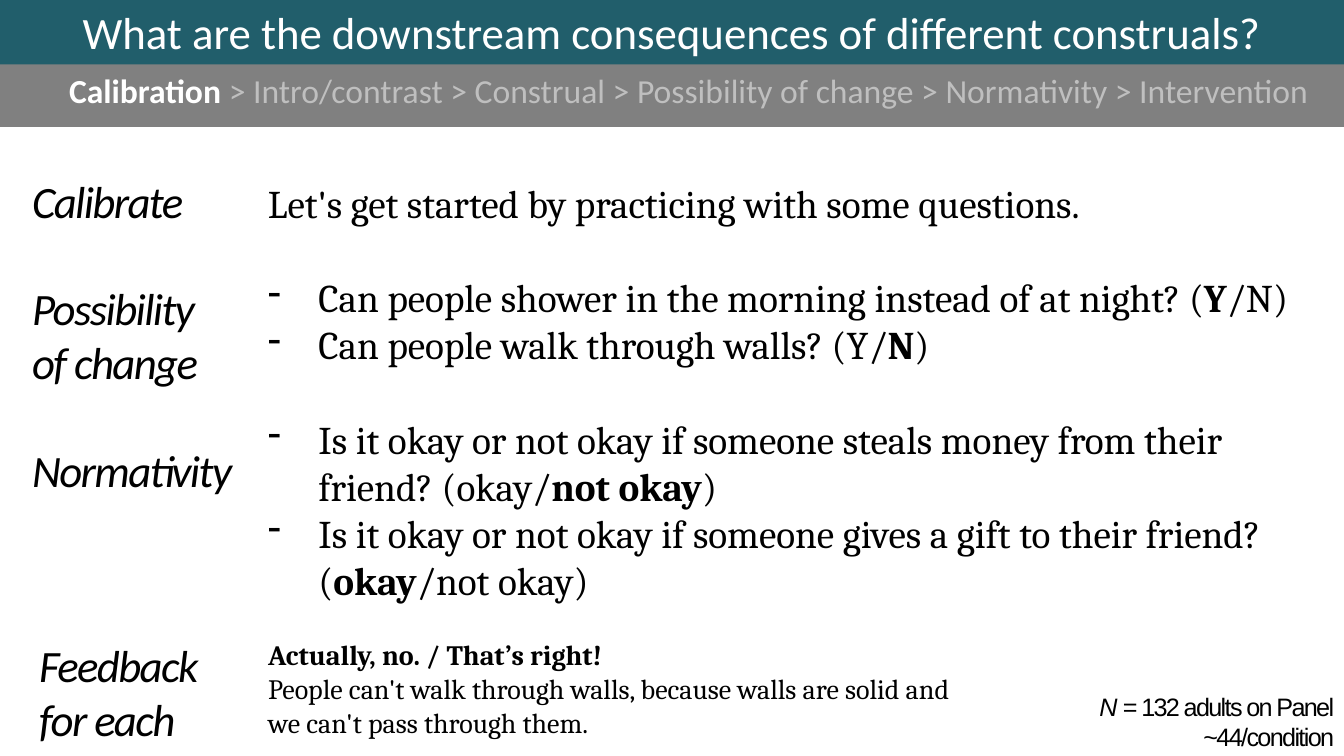
from lxml import etree
from pptx import Presentation
from pptx.dml.color import RGBColor
from pptx.enum.shapes import MSO_SHAPE
from pptx.enum.text import MSO_ANCHOR, PP_ALIGN
from pptx.oxml.ns import qn
from pptx.util import Inches, Pt

RECTANGLE = MSO_SHAPE.RECTANGLE
TOP, MIDDLE = MSO_ANCHOR.TOP, MSO_ANCHOR.MIDDLE
LEFT, CENTER, RIGHT = PP_ALIGN.LEFT, PP_ALIGN.CENTER, PP_ALIGN.RIGHT

WHITE = RGBColor(0xFF, 0xFF, 0xFF)
BLACK = RGBColor(0x00, 0x00, 0x00)
TEAL = RGBColor(0x21, 0x5E, 0x6B)
GRAY = RGBColor(0x80, 0x80, 0x80)
PALE_GRAY = RGBColor(0xBF, 0xBF, 0xBF)

TIGHT = -1.2
LABEL_GAP = 38.6
QUESTION_GAP = 33.7
CONTENT_LEFT = 2.56
FEEDBACK_TOP = 6.28

QUESTION_GROUPS = [
    [
        [("Can people shower in the morning instead of at night? (", False),
         ("Y", True), ("/N)", False)],
        [("Can people walk through walls? (Y/", False), ("N", True), (")", False)],
    ],
    [
        [("Is it okay or not okay if someone steals money from their friend? (okay/", False),
         ("not okay", True), (")", False)],
        [("Is it okay or not okay if someone gives a gift to their friend? (", False),
         ("okay", True), ("/not okay)", False)],
    ],
]


def add_bar(page, left, top, width, height, fill, anchor):
    """Add a filled rectangle and return its text frame."""
    bar = page.shapes.add_shape(
        RECTANGLE, Inches(left), Inches(top), Inches(width), Inches(height))
    bar.shadow.inherit = False
    bar.fill.solid()
    bar.fill.fore_color.rgb = fill
    bar.line.fill.background()
    bar.text_frame.word_wrap = True
    bar.text_frame.vertical_anchor = anchor
    return bar.text_frame


def add_text_box(page, left, top, width, height):
    """Add a wrapping text box and return its text frame."""
    box = page.shapes.add_textbox(
        Inches(left), Inches(top), Inches(width), Inches(height))
    box.text_frame.word_wrap = True
    return box.text_frame


def add_para(frame, align=LEFT, space_before=0, margin=0, indent=0, bullet=None):
    """Return the next paragraph of a frame, using its empty first one if unused."""
    first = frame.paragraphs[0]
    para = frame.add_paragraph() if first.runs else first
    para.alignment = align
    if space_before:
        para.space_before = Pt(space_before)
    properties = para._p.get_or_add_pPr()
    properties.set("marL", str(Inches(margin)))
    properties.set("indent", str(Inches(indent)))
    if bullet:
        etree.SubElement(properties, qn("a:buFontTx"))
        etree.SubElement(properties, qn("a:buChar")).set("char", bullet)
    return para


def add_span(para, text, font, size, color=BLACK, bold=False, italic=False, spacing=0):
    """Add one formatted run to a paragraph."""
    span = para.add_run()
    span.text = text
    span.font.name = font
    span.font.size = Pt(size)
    span.font.color.rgb = color
    span.font.bold = bold
    span.font.italic = italic
    if spacing:
        span._r.get_or_add_rPr().set("spc", str(round(spacing * 100)))


def add_label(frame, lines, space_before=0):
    """Add an italic row label, with a line break between its lines."""
    para = add_para(frame, space_before=space_before)
    for index, line in enumerate(lines):
        if index:
            para.add_line_break()
        add_span(para, line, "Calibri", 32, italic=True, spacing=TIGHT)


def add_headers(page):
    """Add the section trail and the title bar."""
    trail = add_bar(page, 0, 0.58, 13.38, 0.68, GRAY, MIDDLE)
    para = add_para(trail, CENTER, margin=0.28)
    para.line_spacing = 0.85
    add_span(para, "Calibration ", "Calibri", 24, WHITE, bold=True)
    add_span(para, "> Intro/contrast > Construal > Possibility of change > "
                   "Normativity > Intervention", "Calibri", 24, PALE_GRAY)

    title = add_bar(page, 0, 0, 13.33, 0.64, TEAL, TOP)
    para = add_para(title, CENTER, margin=0.26, indent=-0.26)
    add_span(para, "What are the downstream consequences of different construals?",
             "Calibri", 32, WHITE)


def add_questions(page):
    """Add the opening sentence and the groups of calibration questions."""
    frame = add_text_box(page, CONTENT_LEFT, 1.73, 10.77, 4.27)
    add_span(add_para(frame), "Let's get started by practicing with some questions.",
             "Cambria", 28)
    for group in QUESTION_GROUPS:
        for index, question in enumerate(group):
            gap = 0 if index else QUESTION_GAP
            para = add_para(frame, space_before=gap, margin=0.5, indent=-0.5, bullet="-")
            for text, bold in question:
                add_span(para, text, "Cambria", 28, bold=bold)


def add_sample_note(page):
    """Add the sample size in the lower right corner."""
    frame = add_bar(page, 10.72, 6.81, 2.61, 0.69, WHITE, MIDDLE)
    para = add_para(frame, RIGHT)
    add_span(para, "N ", "Arial", 18, italic=True, spacing=TIGHT)
    add_span(para, "= 132 adults on Panel", "Arial", 18, spacing=TIGHT)
    add_span(add_para(frame, RIGHT), "~44/condition", "Arial", 18, spacing=TIGHT)


def add_labels(page):
    """Add the row labels on the left."""
    frame = add_text_box(page, 0.22, 1.67, 2.29, 3.67)
    add_label(frame, ["Calibrate"])
    add_label(frame, ["Possibility", "of change"], LABEL_GAP)
    add_label(frame, ["Normativity"], LABEL_GAP)
    add_label(add_text_box(page, 0.29, FEEDBACK_TOP, 2.08, 1.27), ["Feedback for each"])


def add_feedback(page):
    """Add the sample feedback text."""
    frame = add_text_box(page, CONTENT_LEFT, FEEDBACK_TOP, 6.98, 1.11)
    add_span(add_para(frame), "Actually, no. / That’s right!", "Cambria", 20, bold=True)
    add_span(add_para(frame), "People can't walk through walls, because walls are solid "
                              "and we can't pass through them.", "Cambria", 20)


def main():
    """Build the slide and save the deck."""
    deck = Presentation()
    deck.slide_width, deck.slide_height = Inches(13.33), Inches(7.5)
    page = deck.slides.add_slide(deck.slide_layouts[6])
    add_headers(page)
    add_questions(page)
    add_sample_note(page)
    add_labels(page)
    add_feedback(page)
    deck.save("out.pptx")


if __name__ == "__main__":
    main()
